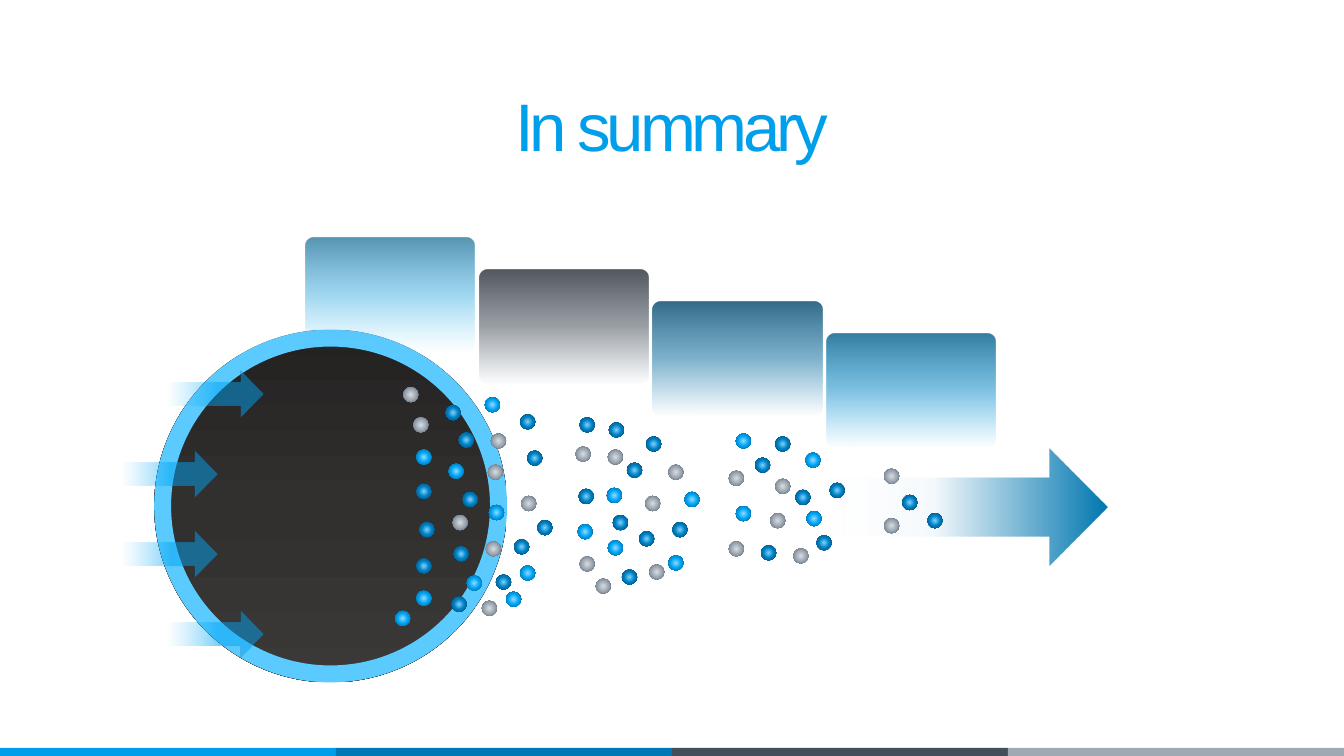
"""Build the "In summary" slide: a particle stream filtered through four stages."""
from dataclasses import dataclass
from typing import Optional

from lxml.etree import Element, SubElement
from pptx import Presentation
from pptx.dml.color import RGBColor
from pptx.enum.shapes import MSO_SHAPE
from pptx.enum.text import MSO_AUTO_SIZE, PP_ALIGN
from pptx.oxml.ns import qn
from pptx.shapes.autoshape import Shape
from pptx.util import Inches, Pt

COLORS = {
    "sky": "009FEB", "blue": "0078B6", "slate": "434F5A", "silver": "9EA9B4",
    "ring": "5ACAFF", "white": "FFFFFF",
    "exit_pale": "F1FBFF", "exit_blue": "0077B0", "intake": "00A5F3",
    "disc_top": "232121", "disc_mid": "322F2F", "disc_end": "3B3838",
    "gray_core": "D8DDE1", "gray_mid": "A3ADB8", "gray_rim": "586572",
    "blue_core": "7CD2FF", "blue_mid": "0083C6", "blue_rim": "00486D",
    "sky_core": "91DBFF", "sky_mid": "00A8F9", "sky_rim": "005F8D",
    "ice_top": "2E7A9E", "ice_mid": "41AEE1",
    "slate_top": "272F36", "slate_mid": "37434D", "slate_end": "414F5C",
    "blue_top": "00476C", "blue_center": "006599",
    "sky_top": "005E8B", "sky_center": "0086C6",
}


@dataclass(frozen=True)
class Stop:
    position: int
    color: str
    opacity: int = 100


@dataclass(frozen=True)
class Gradient:
    stops: tuple[Stop, ...]
    angle: Optional[int] = None


@dataclass(frozen=True)
class Box:
    left: float
    top: float
    width: float
    height: float


@dataclass(frozen=True)
class Particles:
    tone: str
    spots: tuple[tuple[float, float], ...]


presentation = Presentation()
presentation.slide_width = Inches(13.333)
presentation.slide_height = Inches(7.5)
slide = presentation.slides.add_slide(presentation.slide_layouts[6])


def apply_gradient(shape: Shape, gradient: Gradient) -> None:
    """Swap the shape's fill for a gradient with per-stop opacity."""
    shape.fill.background()
    properties = shape._element.spPr
    fill = Element(qn("a:gradFill"), rotWithShape="1")
    stop_list = SubElement(fill, qn("a:gsLst"))
    for stop in gradient.stops:
        entry = SubElement(stop_list, qn("a:gs"), pos=str(stop.position * 1000))
        color = SubElement(entry, qn("a:srgbClr"), val=COLORS[stop.color])
        if stop.opacity < 100:
            SubElement(color, qn("a:alpha"), val=str(stop.opacity * 1000))
    if gradient.angle is None:
        circle = SubElement(fill, qn("a:path"), path="circle")
        SubElement(circle, qn("a:fillToRect"), dict.fromkeys("ltrb", "50000"))
    else:
        SubElement(fill, qn("a:lin"), ang=str(gradient.angle * 60000), scaled="0")
    properties.replace(properties.find(qn("a:noFill")), fill)


def draw(kind: MSO_SHAPE, box: Box, fill: str | Gradient,
         adjustments: tuple[float, ...] = (), outline: Optional[str] = None,
         rotation: int = 0) -> None:
    """Add one preset shape with a solid or gradient fill."""
    shape = slide.shapes.add_shape(kind, Inches(box.left), Inches(box.top),
                                   Inches(box.width), Inches(box.height))
    shape.shadow.inherit = False
    shape.rotation = rotation
    for index, value in enumerate(adjustments):
        shape.adjustments[index] = value
    if isinstance(fill, Gradient):
        apply_gradient(shape, fill)
    else:
        shape.fill.solid()
        shape.fill.fore_color.rgb = RGBColor.from_string(COLORS[fill])
    if outline:
        shape.line.color.rgb = RGBColor.from_string(COLORS[outline])
        shape.line.width = Pt(1)
    else:
        shape.line.fill.background()


def draw_particles(particles: Particles) -> None:
    """Add all particles of one tone."""
    tone = particles.tone
    glow = Gradient((Stop(0, f"{tone}_core"), Stop(46, f"{tone}_mid"),
                     Stop(100, f"{tone}_rim")))
    for left, top in particles.spots:
        draw(MSO_SHAPE.OVAL, Box(left, top, 0.15, 0.15), glow)


def draw_title(text: str, box: Box) -> None:
    """Add the centred slide title."""
    title = slide.shapes.add_textbox(Inches(box.left), Inches(box.top),
                                     Inches(box.width), Inches(box.height))
    frame_format = {"word_wrap": True, "auto_size": MSO_AUTO_SIZE.SHAPE_TO_FIT_TEXT}
    for name, value in frame_format.items():
        setattr(title.text_frame, name, value)
    heading = title.text_frame.paragraphs[0]
    heading.alignment = PP_ALIGN.CENTER
    words = heading.add_run()
    words.text = text
    font_format = {"name": "Arial", "size": Pt(48)}
    for name, value in font_format.items():
        setattr(words.font, name, value)
    words.font.color.rgb = RGBColor.from_string(COLORS["sky"])
    words._r.get_or_add_rPr().set("spc", "-300")


FOOTER_WIDTH = 13.333 / 4
for index, tone in enumerate(("sky", "blue", "slate", "silver")):
    draw(MSO_SHAPE.RECTANGLE,
         Box(index * FOOTER_WIDTH, 7.42, FOOTER_WIDTH, 0.08), tone)

draw(MSO_SHAPE.RIGHT_ARROW, Box(8.11, 4.45, 2.88, 1.16),
     Gradient((Stop(0, "exit_pale", 0), Stop(40, "exit_blue", 4),
               Stop(100, "exit_blue")), 0))

tunnel = Box(1.53, 3.27, 3.5, 3.5)
draw(MSO_SHAPE.OVAL, tunnel,
     Gradient((Stop(0, "disc_top"), Stop(50, "disc_mid"), Stop(100, "disc_end")), 90))
draw(MSO_SHAPE.DONUT, tunnel, "ring", (0.048,))

FILTER_ARCS = (Box(7.57, 4.7, 1.4, 0.64), Box(5.53, 4.58, 2.15, 0.91),
               Box(3.44, 4.39, 2.89, 1.26))
for arc in FILTER_ARCS:
    draw(MSO_SHAPE.BLOCK_ARC, arc, "sky", (108, 0, 0), "white", 90)

PARTICLES = (
    Particles("gray", (
        (4, 3.84), (4.1, 4.14), (4.49, 5.11), (4.87, 4.3), (4.84, 4.61),
        (5.17, 4.92), (4.82, 5.37), (4.78, 5.96), (5.71, 4.43), (6.4, 4.92),
        (5.75, 5.52), (5.91, 5.74), (6.44, 5.6), (6.63, 4.61), (6.03, 4.46),
        (7.23, 5.37), (7.64, 5.09), (7.23, 4.67), (7.87, 5.44), (7.69, 4.75),
        (8.77, 5.14), (8.77, 4.65))),
    Particles("blue", (
        (4.42, 4.02), (4.13, 4.8), (4.55, 4.29), (4.5, 5.42), (4.59, 4.88),
        (4.13, 5.54), (4.16, 5.18), (5.1, 5.35), (5.23, 4.47), (4.48, 5.92),
        (4.92, 5.7), (5.16, 4.11), (5.33, 5.16), (5.75, 4.14), (6.22, 4.59),
        (6.17, 5.65), (6.67, 5.18), (5.74, 4.85), (6.08, 5.11), (6.34, 5.27),
        (6.04, 4.19), (6.41, 4.33), (7.55, 5.41), (8.23, 4.79), (7.49, 4.54),
        (8.1, 5.31), (7.69, 4.33), (7.89, 4.86), (8.95, 4.91), (9.2, 5.09))),
    Particles("sky", (
        (4.13, 4.46), (4.45, 4.6), (4.81, 3.94), (3.92, 6.06), (4.63, 5.71),
        (4.85, 5.01), (4.13, 5.86), (5.16, 5.61), (5.02, 5.87), (6.02, 4.84),
        (5.73, 5.2), (6.79, 4.88), (6.03, 5.36), (6.63, 5.51), (7.3, 5.02),
        (7.99, 4.49), (7.3, 4.3), (8, 5.07))),
)
for particles in PARTICLES:
    draw_particles(particles)

intake_fade = Gradient((Stop(48, "intake", 50), Stop(100, "ring", 0)), 180)
for index, left in enumerate((1.66, 1.21, 1.21, 1.66)):
    draw(MSO_SHAPE.RIGHT_ARROW, Box(left, 3.68 + index * 2.38 / 3, 0.95, 0.46),
         intake_fade)

draw_title("In summary", Box(0, 0.79, 13.333, 0.91))

STAGE_TONES = (
    ("ice_top", "ice_mid", "ring"),
    ("slate_top", "slate_mid", "slate_end"),
    ("blue_top", "blue_center", "blue"),
    ("sky_top", "sky_center", "sky"),
)
for index, (top_tone, middle_tone, end_tone) in enumerate(STAGE_TONES):
    draw(MSO_SHAPE.ROUNDED_RECTANGLE,
         Box(3.03 + index * 5.17 / 3, 2.36 + index * 0.95 / 3, 1.68, 1.13),
         Gradient((Stop(0, top_tone, 80), Stop(50, middle_tone, 50),
                   Stop(100, end_tone, 0)), 90), (0.076,))

presentation.save("out.pptx")
